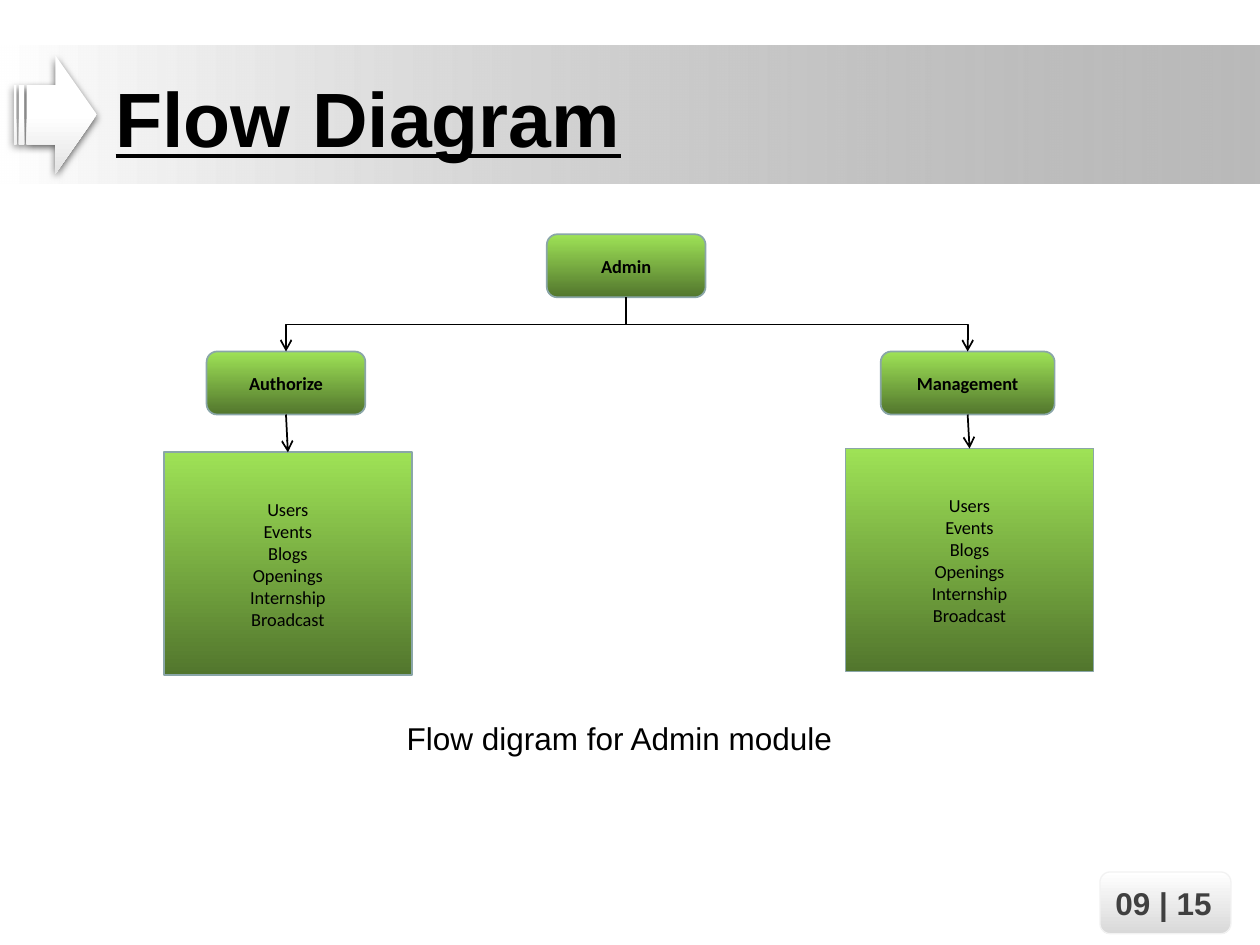
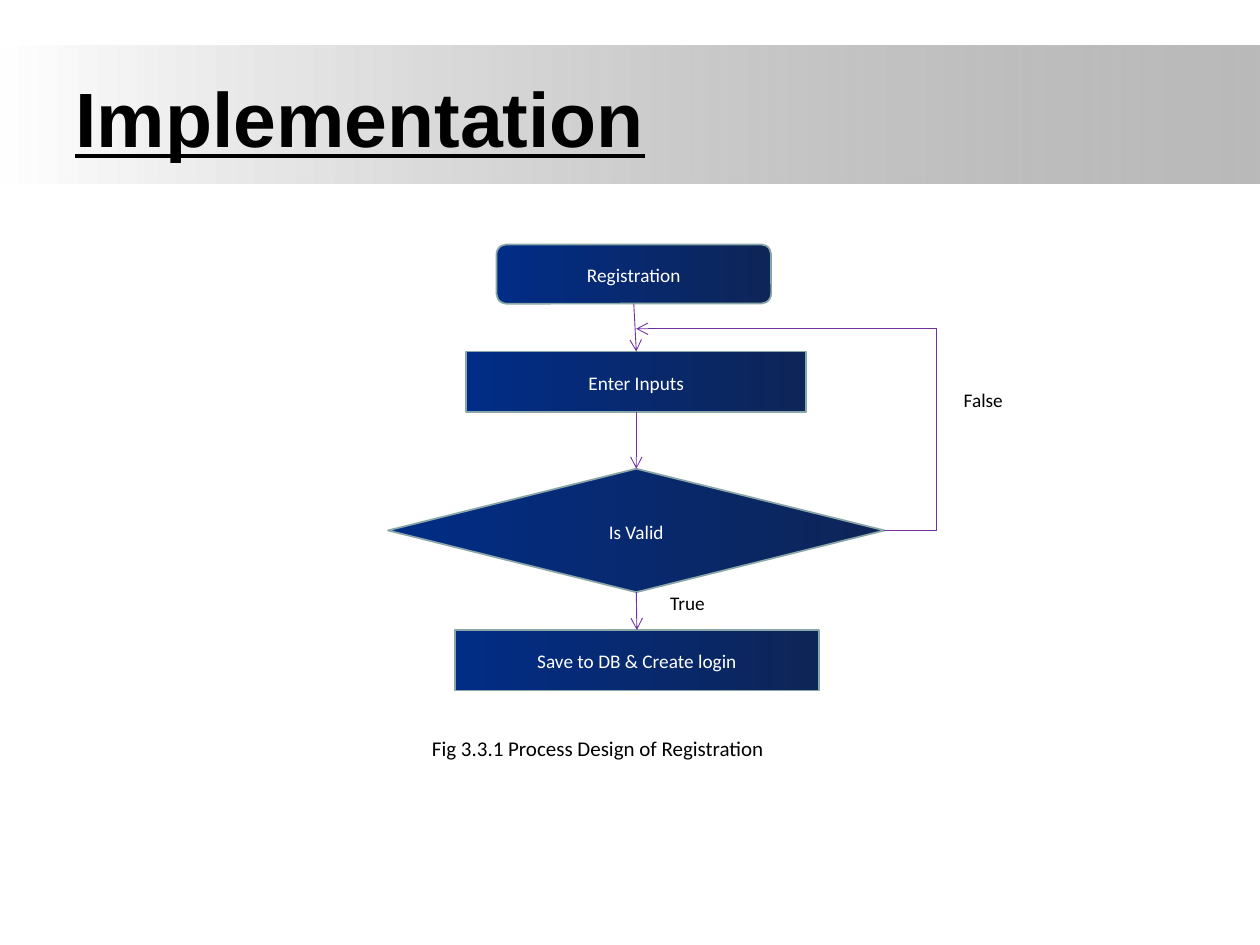
from dataclasses import dataclass
from typing import Any, NamedTuple

from lxml import etree
from pptx import Presentation
from pptx.dml.color import RGBColor
from pptx.enum.shapes import MSO_CONNECTOR, MSO_SHAPE
from pptx.enum.text import MSO_ANCHOR, PP_ALIGN
from pptx.oxml.ns import qn
from pptx.util import Inches, Pt

RECT = MSO_SHAPE.RECTANGLE
ROUNDED = MSO_SHAPE.ROUNDED_RECTANGLE
DIAMOND = MSO_SHAPE.DIAMOND
STRIPED_ARROW = MSO_SHAPE.STRIPED_RIGHT_ARROW
PAGE_PILL = MSO_SHAPE.FLOWCHART_ALTERNATE_PROCESS
STRAIGHT = MSO_CONNECTOR.STRAIGHT
ELBOW = MSO_CONNECTOR.ELBOW
LEFT, CENTER = PP_ALIGN.LEFT, PP_ALIGN.CENTER
TOP, MIDDLE = MSO_ANCHOR.TOP, MSO_ANCHOR.MIDDLE

BLACK = RGBColor(0x00, 0x00, 0x00)
WHITE = RGBColor(0xFF, 0xFF, 0xFF)
BAND_GREY = RGBColor(0x80, 0x80, 0x80)
ARROW_GREY = RGBColor(0xE3, 0xE3, 0xE3)
PILL_GREY = RGBColor(0xD9, 0xD9, 0xD9)
PILL_EDGE = RGBColor(0xF2, 0xF2, 0xF2)
PILL_TEXT = RGBColor(0x40, 0x40, 0x40)
LIGHT_GREEN = RGBColor(0x9E, 0xE2, 0x56)
DARK_GREEN = RGBColor(0x52, 0x76, 0x2D)
BLUE = RGBColor(0x01, 0x2D, 0x86)
NAVY = RGBColor(0x0E, 0x25, 0x57)
NODE_EDGE = RGBColor(0x8A, 0xA6, 0xA8)
PURPLE = RGBColor(0x70, 0x30, 0xA0)

RIGHTWARD, DOWNWARD = 0, 270


class Point(NamedTuple):
    x: float
    y: float


class Gradient(NamedTuple):
    start: RGBColor
    end: RGBColor
    angle: int
    start_position: float = 0.0


class Edge(NamedTuple):
    color: RGBColor
    width: float


@dataclass(frozen=True)
class TextStyle:
    font: dict[str, Any]
    color: RGBColor
    align: Any = LEFT
    anchor: Any = TOP
    wrap: bool = True
    paragraph: tuple[tuple[str, Any], ...] = ()


@dataclass(frozen=True)
class Node:
    left: float
    top: float
    width: float
    height: float
    preset: Any = RECT
    text: str = ""

    @property
    def top_center(self) -> Point:
        return Point(self.left + self.width / 2, self.top)

    @property
    def bottom_center(self) -> Point:
        return Point(self.left + self.width / 2, self.top + self.height)

    @property
    def right_center(self) -> Point:
        return Point(self.left + self.width, self.top + self.height / 2)

    @property
    def frame(self) -> list[int]:
        return [Inches(v) for v in (self.left, self.top, self.width, self.height)]


GREEN_FILL = Gradient(LIGHT_GREEN, DARK_GREEN, DOWNWARD)
BLUE_FILL = Gradient(BLUE, NAVY, RIGHTWARD)
BAND_FILL = Gradient(WHITE, BAND_GREY, RIGHTWARD)
ARROW_FILL = Gradient(WHITE, ARROW_GREY, DOWNWARD, 0.5)
PILL_FILL = Gradient(WHITE, PILL_GREY, DOWNWARD)
OUTLINE = Edge(NODE_EDGE, 1)
ADMIN_LINE = Edge(BLACK, 1)
PROCESS_LINE = Edge(PURPLE, 0.5)

SPACED = (("line_spacing", 1.08), ("space_after", Pt(8)))


def font(name: str, size: float, **extra: bool) -> dict[str, Any]:
    return {"name": name, "size": Pt(size), **extra}


TITLE = TextStyle(font("Arial", 44, bold=True, underline=True), BLACK, anchor=MIDDLE)
ROLE = TextStyle(font("Calibri", 10.5, bold=True), BLACK, CENTER, MIDDLE)
ITEMS = TextStyle(font("Calibri", 10.5), BLACK, CENTER, MIDDLE)
STEP = TextStyle(font("Calibri", 11), WHITE, CENTER, MIDDLE, paragraph=SPACED)
BRANCH = TextStyle(font("Calibri", 11), BLACK, paragraph=SPACED)
FIGURE = TextStyle(font("Calibri", 12), BLACK, paragraph=SPACED)
CAPTION = TextStyle(font("Arial", 18), BLACK)
PAGE = TextStyle(font("Arial", 18, bold=True), PILL_TEXT, anchor=MIDDLE, wrap=False)


def write(frame: Any, text: str, style: TextStyle) -> None:
    frame.text = text
    frame.word_wrap = style.wrap
    frame.vertical_anchor = style.anchor
    for paragraph in frame.paragraphs:
        paragraph.alignment = style.align
        for key, value in style.paragraph:
            setattr(paragraph, key, value)
        for run in paragraph.runs:
            for key, value in style.font.items():
                setattr(run.font, key, value)
            run.font.color.rgb = style.color


def add_label(slide: Any, node: Node, style: TextStyle) -> None:
    write(slide.shapes.add_textbox(*node.frame).text_frame, node.text, style)


def add_node(slide: Any, node: Node, fill: Gradient | RGBColor,
             edge: Edge | None = None, style: TextStyle | None = None) -> Any:
    shape = slide.shapes.add_shape(node.preset, *node.frame)
    shape.shadow.inherit = False
    if isinstance(fill, Gradient):
        shape.fill.gradient()
        shape.fill.gradient_angle = fill.angle
        first, last = shape.fill.gradient_stops
        first.color.rgb, last.color.rgb = fill.start, fill.end
        first.position, last.position = fill.start_position, 1.0
    else:
        shape.fill.solid()
        shape.fill.fore_color.rgb = fill
    if edge:
        shape.line.color.rgb = edge.color
        shape.line.width = Pt(edge.width)
    else:
        shape.line.fill.background()
    if style:
        write(shape.text_frame, node.text, style)
    return shape


def add_arrow(slide: Any, begin: Point, end: Point, edge: Edge, kind: Any = STRAIGHT) -> Any:
    ends = [Inches(v) for v in (*begin, *end)]
    connector = slide.shapes.add_connector(kind, *ends)
    connector.line.color.rgb = edge.color
    connector.line.width = Pt(edge.width)
    etree.SubElement(connector.line._get_or_add_ln(), qn("a:tailEnd"), type="arrow")
    etree.SubElement(connector._element.spPr, qn("a:effectLst"))
    return connector


def add_drop_arrow(slide: Any, begin: Point, end: Point, edge: Edge) -> None:
    middle = Point((begin.x + end.x) / 2, (begin.y + end.y) / 2)
    half_x, half_y = (end.x - begin.x) / 2, (end.y - begin.y) / 2
    connector = add_arrow(slide, Point(middle.x - half_y, middle.y + half_x),
                          Point(middle.x + half_y, middle.y - half_x), edge, ELBOW)
    connector._element.spPr.find(qn("a:xfrm")).set("rot", "5400000")


def add_header(slide: Any, title: str, left: float) -> None:
    band = add_node(slide, Node(0, 0.36, 10, 1.1), BAND_FILL)
    grey = band._element.spPr.findall(".//" + qn("a:srgbClr"))[-1]
    etree.SubElement(grey, qn("a:alpha"), val="54000")
    add_label(slide, Node(left, 0.3, 9, 1.25, text=title), TITLE)


def add_title_arrow(slide: Any) -> None:
    arrow = add_node(slide, Node(0.11, 0.44, 0.66, 0.94, STRIPED_ARROW), ARROW_FILL)
    effects = arrow._element.spPr.find(qn("a:effectLst"))
    shadow = etree.SubElement(effects, qn("a:outerShdw"), blurRad=str(Pt(4.5)),
                              dist=str(Pt(1.5)), dir="5400000", rotWithShape="0")
    black = etree.SubElement(shadow, qn("a:srgbClr"), val=str(BLACK))
    etree.SubElement(black, qn("a:alpha"), val="63000")


def build_flow_diagram(slide: Any) -> None:
    add_header(slide, "Flow Diagram", 0.82)
    add_title_arrow(slide)
    modules = "\n".join(("Users", "Events", "Blogs", "Openings", "Internship", "Broadcast"))
    admin = Node(4.34, 1.86, 1.26, 0.5, ROUNDED, "Admin")
    branches = (
        (Node(1.64, 2.79, 1.26, 0.5, ROUNDED, "Authorize"),
         Node(1.3, 3.59, 1.97, 1.77, text=modules)),
        (Node(6.99, 2.79, 1.38, 0.5, ROUNDED, "Management"),
         Node(6.71, 3.56, 1.97, 1.77, text=modules)),
    )
    add_node(slide, admin, GREEN_FILL, OUTLINE, ROLE)
    for role, items in branches:
        add_node(slide, role, GREEN_FILL, OUTLINE, ROLE)
        add_node(slide, items, GREEN_FILL, OUTLINE, ITEMS)
        add_drop_arrow(slide, admin.bottom_center, role.top_center, ADMIN_LINE)
        add_arrow(slide, role.bottom_center, items.top_center, ADMIN_LINE)
    add_node(slide, Node(8.73, 6.92, 1.04, 0.49, PAGE_PILL, "09 | 15"),
             PILL_FILL, Edge(PILL_EDGE, 0.75), PAGE)
    add_label(slide, Node(3.13, 5.66, 3.74, 0.4, text="Flow digram for Admin module"), CAPTION)


def build_implementation(slide: Any) -> None:
    add_header(slide, "Implementation", 0.5)
    registration = Node(3.94, 1.94, 2.18, 0.47, ROUNDED, "Registration")
    inputs = Node(3.7, 2.79, 2.7, 0.48, text="Enter Inputs")
    validity = Node(3.08, 3.72, 3.94, 0.98, DIAMOND, "Is Valid")
    saving = Node(3.61, 5, 2.89, 0.48, text="Save to DB & Create login")
    steps = (registration, inputs, validity, saving)
    for step in steps:
        add_node(slide, step, BLUE_FILL, OUTLINE, STEP)
    for step, following in zip(steps, steps[1:]):
        add_arrow(slide, step.bottom_center, following.top_center, PROCESS_LINE)
    retry = add_arrow(slide, validity.right_center, Point(5.05, 2.61), PROCESS_LINE, ELBOW)
    bends = retry._element.spPr.find(qn("a:prstGeom")).find(qn("a:avLst"))
    etree.SubElement(bends, qn("a:gd"), name="adj1", fmla="val -20800")
    add_label(slide, Node(5.22, 4.63, 1.58, 0.37, text="True"), BRANCH)
    add_label(slide, Node(7.55, 3.02, 1.58, 0.37, text="False"), BRANCH)
    add_node(slide, Node(3.33, 5.77, 4.58, 0.6, text="Fig 3.3.1 Process Design of Registration"),
             WHITE, style=FIGURE)


def main() -> None:
    deck = Presentation()
    deck.slide_width, deck.slide_height = Inches(10), Inches(7.5)
    blank = deck.slide_layouts[6]
    for build in (build_flow_diagram, build_implementation):
        build(deck.slides.add_slide(blank))
    deck.save("out.pptx")


if __name__ == "__main__":
    main()
